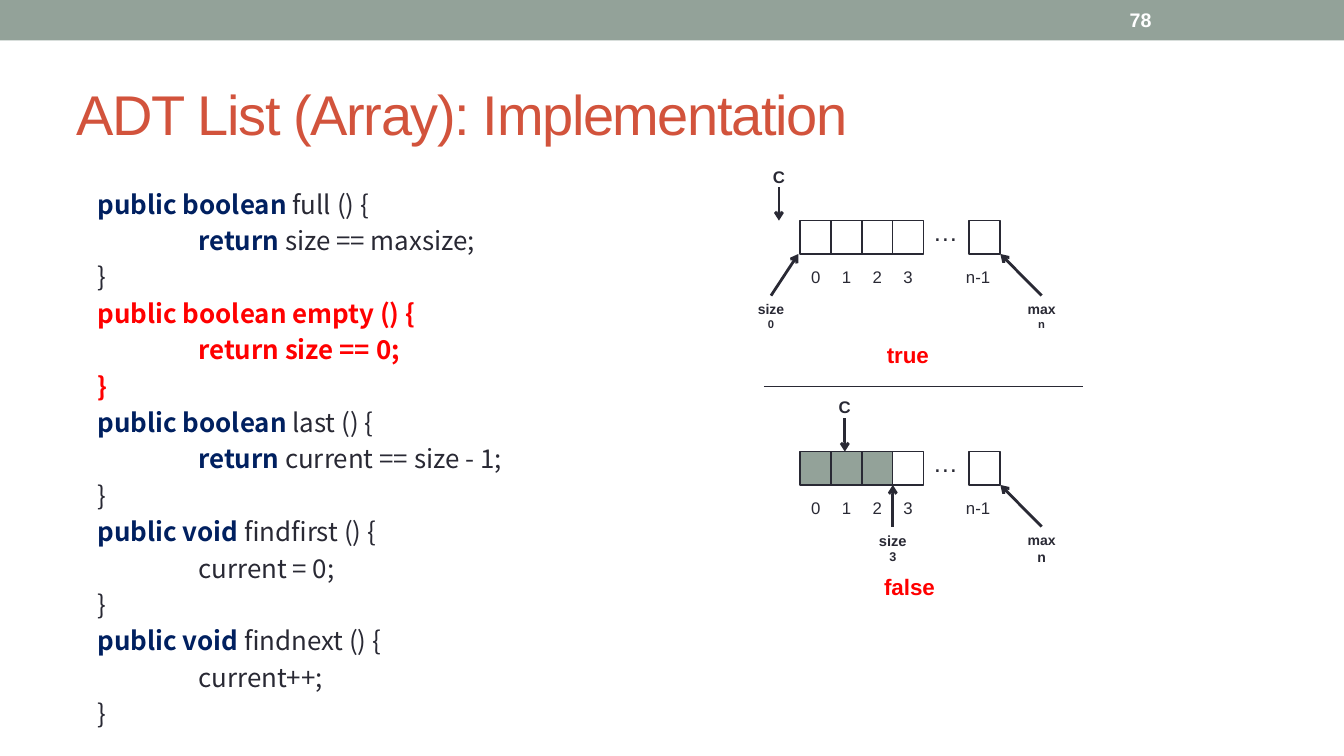
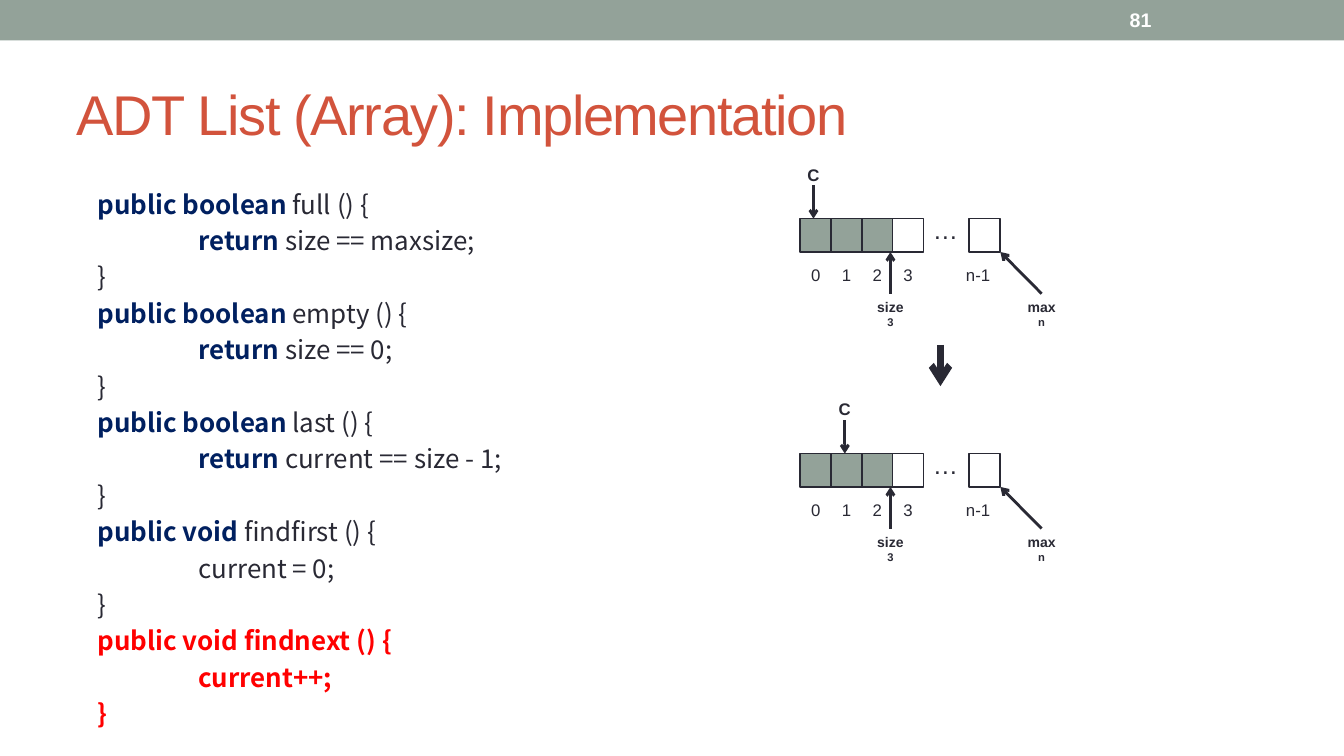
from dataclasses import dataclass

from pptx import Presentation
from pptx import util as u
from pptx.dml import color
from pptx.enum import shapes, text
from pptx.oxml import ns, xmlchemy

COLORS = {
    "band": "93A299",
    "title": "D2533C",
    "ink": "292934",
    "keyword": "002060",
    "accent": "FF0000",
    "paper": "FFFFFF",
}
SANS = "Arial"
CODE_FONT = "Noto Sans CJK SC"
CELL_LEFT, CELL_STEP, CELL_WIDTH, CELL_HEIGHT = 20.17, 0.775, 0.78, 0.84
LAST_CELL_LEFT = 24.43
MAX_X = 26.25
METHODS = [
    ("full", "public boolean ", "return", " size == maxsize;"),
    ("empty", "public boolean ", "return", " size == 0;"),
    ("last", "public boolean ", "return", " current == size - 1;"),
    ("findfirst", "public void ", "", "current = 0;"),
    ("findnext", "public void ", "", "current++;"),
]


@dataclass
class ArrayState:
    top: float
    filled: int
    current_x: float
    size_tail_x: float
    size_head_x: float
    size_points: tuple = (10, 8)
    max_points: tuple = (10, 8)


def rgb(name):
    return color.RGBColor.from_string(COLORS[name])


def add_run(paragraph, words, size, ink="ink", bold=False, font=SANS):
    run = paragraph.add_run()
    run.text = words
    run.font.name = font
    run.font.size = u.Pt(size)
    run.font.bold = bold
    run.font.color.rgb = rgb(ink)
    return run


def add_frame(slide, left, top, width, height, anchor=text.MSO_ANCHOR.TOP, margin=0):
    box = slide.shapes.add_textbox(u.Cm(left), u.Cm(top), u.Cm(width), u.Cm(height))
    frame = box.text_frame
    frame.word_wrap = True
    frame.vertical_anchor = anchor
    frame.margin_left = frame.margin_right = u.Cm(margin)
    frame.margin_top = frame.margin_bottom = 0
    return frame


def add_label(slide, center, top, lines, ink="ink", bold=False):
    frame = add_frame(slide, center - 1, top, 2, 0.5 * len(lines))
    for number, (words, size) in enumerate(lines):
        paragraph = frame.add_paragraph() if number else frame.paragraphs[0]
        paragraph.alignment = text.PP_ALIGN.CENTER
        add_run(paragraph, words, size, ink, bold)


def add_rect(slide, left, top, width, height, fill, outline=None):
    rect = slide.shapes.add_shape(
        shapes.MSO_SHAPE.RECTANGLE, u.Cm(left), u.Cm(top), u.Cm(width), u.Cm(height))
    rect.shadow.inherit = False
    rect.fill.solid()
    rect.fill.fore_color.rgb = rgb(fill)
    if outline:
        rect.line.color.rgb = rgb("ink")
        rect.line.width = u.Pt(outline)
    else:
        rect.line.fill.background()


def add_line(slide, start, end, weight=2, arrow=True):
    line = slide.shapes.add_connector(
        shapes.MSO_CONNECTOR.STRAIGHT, *(u.Cm(value) for value in (*start, *end)))
    line.line.color.rgb = rgb("ink")
    line.line.width = u.Pt(weight)
    if arrow:
        head = xmlchemy.OxmlElement("a:tailEnd")
        head.set("type", "arrow")
        line.line._get_or_add_ln().append(head)
    properties = line._element.find(ns.qn("p:spPr"))
    properties.append(xmlchemy.OxmlElement("a:effectLst"))


def add_page(deck, number):
    slide = deck.slides.add_slide(deck.slide_layouts[6])
    add_rect(slide, 0, 0, 33.87, 1.02, "band")
    title = add_frame(slide, 1.69, 1.48, 30.48, 2.74, text.MSO_ANCHOR.MIDDLE, 0.25)
    run = add_run(title.paragraphs[0], "ADT List (Array): Implementation", 40, "title")
    run.font._element.set("spc", "-100")
    page = add_frame(slide, 28.22, 0.05, 3.96, 0.91, text.MSO_ANCHOR.MIDDLE, 0.25)
    add_run(page.paragraphs[0], str(number), 14, "paper", True)
    return slide


def add_code(slide, highlighted):
    frame = add_frame(slide, 2.46, 4.61, 16, 13.75)
    for name, declaration, keyword, statement in METHODS:
        marked = name == highlighted
        lines = [(0, declaration, f"{name} () {{"), (2.54, keyword, statement), (0, "", "}")]
        for indent, lead, rest in lines:
            first = not frame.paragraphs[0].runs
            paragraph = frame.paragraphs[0] if first else frame.add_paragraph()
            paragraph._p.get_or_add_pPr().set("marL", str(u.Cm(indent)))
            paragraph.line_spacing = u.Pt(26)
            if lead:
                add_run(paragraph, lead, 18.5, "accent" if marked else "keyword", True, CODE_FONT)
            add_run(paragraph, rest, 18.5, "accent" if marked else "ink", marked, CODE_FONT)


def add_array(slide, state):
    top = state.top
    lefts = [CELL_LEFT + CELL_STEP * index for index in range(4)] + [LAST_CELL_LEFT]
    for index, left in enumerate(lefts):
        fill = "band" if index < state.filled else "paper"
        add_rect(slide, left, top, CELL_WIDTH, CELL_HEIGHT, fill, 1.25)
    for index, left in enumerate(lefts[:4]):
        add_label(slide, left + CELL_WIDTH / 2, top + 1.17, [(str(index), 12)])
    add_label(slide, 24.65, top + 1.17, [("n-1", 12)])
    add_label(slide, 23.83, top - 0.1, [("…", 18)])

    add_label(slide, state.current_x, top - 1.37, [("C", 12)], bold=True)
    add_line(slide, (state.current_x, top - 0.84), (state.current_x, top))

    pointers = [
        ("size", str(state.filled), state.size_tail_x, state.size_head_x, state.size_points),
        ("max", "n", MAX_X, LAST_CELL_LEFT + CELL_WIDTH, state.max_points),
    ]
    for name, value, tail_x, head_x, points in pointers:
        add_line(slide, (tail_x, top + 1.89), (head_x, top + CELL_HEIGHT))
        add_label(slide, tail_x, top + 2.02, list(zip((name, value), points)), bold=True)


def build_empty(deck):
    slide = add_page(deck, 78)
    add_code(slide, "empty")
    add_array(slide, ArrayState(5.56, 0, 19.63, 19.43, 20.12))
    add_label(slide, 22.88, 8.59, [("true", 16)], "accent", True)
    add_line(slide, (19.25, 9.73), (27.3, 9.73), 0.75, arrow=False)
    add_array(slide, ArrayState(11.38, 3, 21.29, 22.5, 22.5, (10.5, 9), (10, 10)))
    add_label(slide, 22.92, 14.45, [("false", 16)], "accent", True)


def build_findnext(deck):
    slide = add_page(deck, 81)
    add_code(slide, "findnext")
    add_array(slide, ArrayState(5.51, 3, 20.5, 22.44, 22.44))
    add_line(slide, (23.7, 8.69), (23.7, 9.73), 4.75)
    add_array(slide, ArrayState(11.43, 3, 21.29, 22.44, 22.44))


def main():
    deck = Presentation()
    deck.slide_width, deck.slide_height = u.Cm(33.87), u.Cm(19.05)
    build_empty(deck)
    build_findnext(deck)
    deck.save("out.pptx")


if __name__ == "__main__":
    main()
